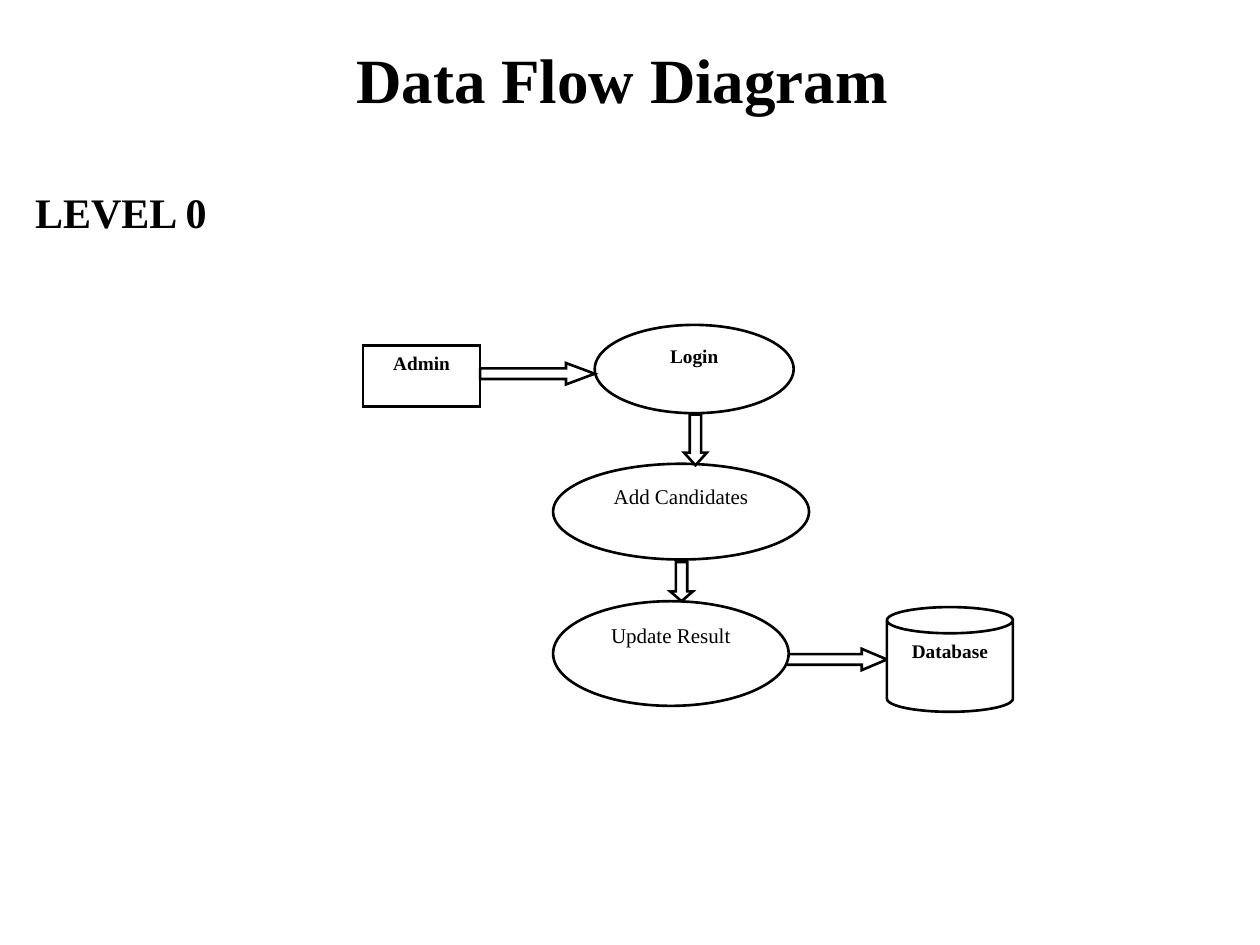
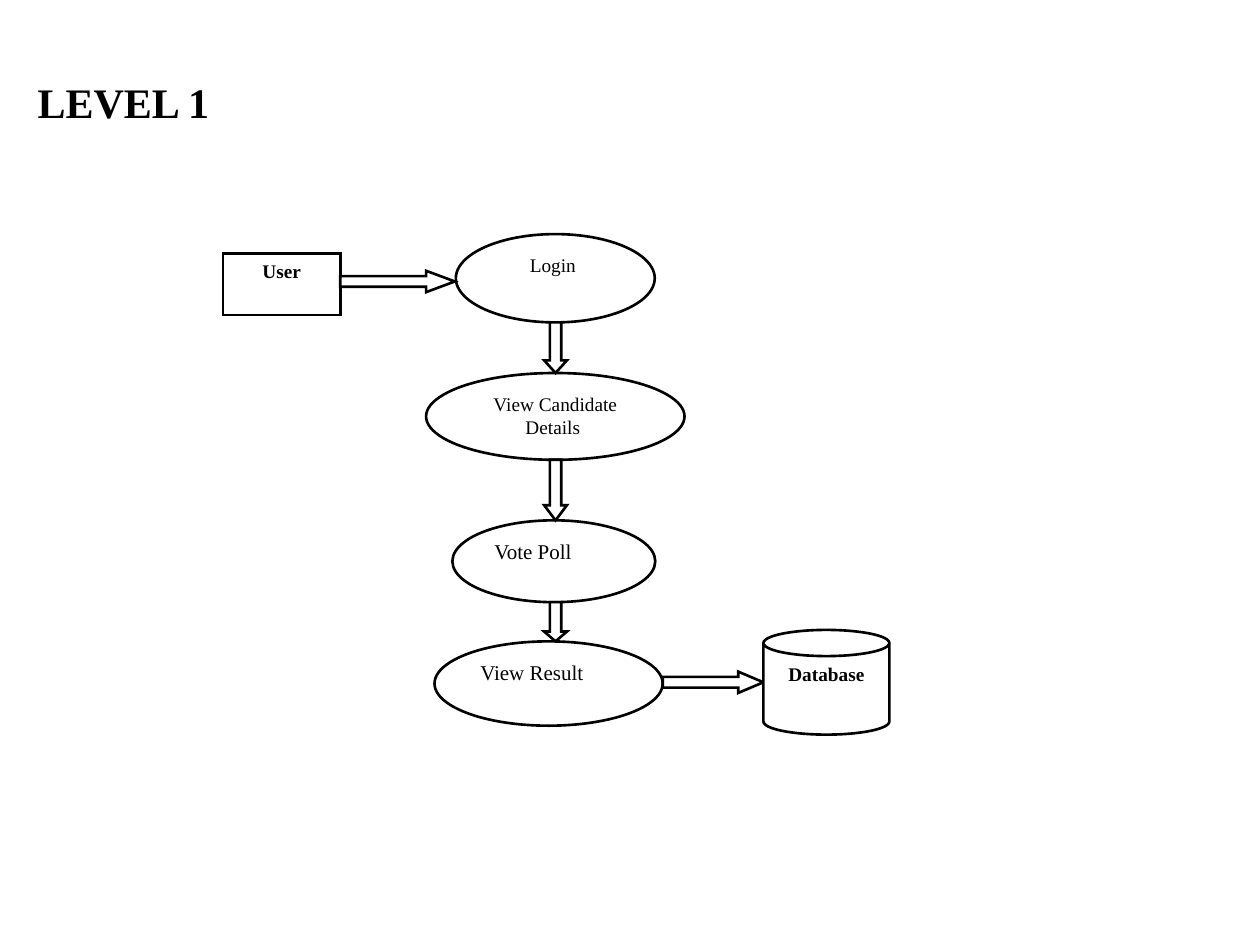
from dataclasses import dataclass

from lxml import etree
from pptx import Presentation
from pptx.dml.color import RGBColor
from pptx.enum.shapes import MSO_SHAPE
from pptx.enum.text import MSO_ANCHOR, MSO_AUTO_SIZE, PP_ALIGN
from pptx.oxml.ns import qn
from pptx.util import Cm, Pt

BLACK = RGBColor(0x00, 0x00, 0x00)
WHITE = RGBColor(0xFF, 0xFF, 0xFF)
FONT = "Times New Roman"

RECT, ELLIPSE, CAN = MSO_SHAPE.RECTANGLE, MSO_SHAPE.OVAL, MSO_SHAPE.CAN
RIGHT, DOWN = MSO_SHAPE.RIGHT_ARROW, MSO_SHAPE.DOWN_ARROW
CENTER, JUSTIFY = PP_ALIGN.CENTER, PP_ALIGN.JUSTIFY
TOP, MIDDLE = MSO_ANCHOR.TOP, MSO_ANCHOR.MIDDLE
NO_FIT, GROW = MSO_AUTO_SIZE.NONE, MSO_AUTO_SIZE.SHAPE_TO_FIT_TEXT

TITLE_ONLY, BLANK = 5, 6
LINE_WIDTH = Pt(1.5)
THICKNESS = {RIGHT: 0.43, DOWN: 0.46}
HEAD_SHARE = 0.25  # arrowhead length as a share of the arrow length


@dataclass(frozen=True)
class Node:
    text: str
    left: float
    top: float
    width: float
    height: float
    kind: MSO_SHAPE = ELLIPSE
    size: int = 12
    bold: bool = False
    align: PP_ALIGN = CENTER


@dataclass(frozen=True)
class Arrow:
    kind: MSO_SHAPE
    left: float
    top: float
    length: float


@dataclass(frozen=True)
class Level:
    """One diagram slide, its figures listed from back to front."""
    heading: str
    left: float
    top: float
    figures: tuple[Node | Arrow, ...]
    title: str = ""


def actor(text: str, left: float, top: float) -> Node:
    return Node(text, left, top, 2.36, 1.24, RECT, 11, True)


def login(text: str, left: float, top: float, bold: bool) -> Node:
    return Node(text, left, top, 4.01, 1.78, size=11, bold=bold)


def database(left: float, top: float) -> Node:
    return Node("Database", left, top, 2.54, 2.11, CAN, 11, True)


LEVELS = (
    Level("LEVEL 0", 0.46, 3.12, (
        actor("Admin", 7.32, 6.96),
        login("Login", 11.99, 6.55, True),
        Node("Add Candidates", 11.15, 9.35, 5.16, 1.93),
        Arrow(RIGHT, 9.68, 7.32, 2.31),
        Arrow(DOWN, 13.79, 8.36, 1.02),
        Arrow(RIGHT, 15.85, 13.08, 2.03),
        database(17.88, 12.24),
        Node("Update Result", 11.15, 12.12, 4.75, 2.11),
        Arrow(DOWN, 13.51, 11.33, 0.79),
    ), "Data Flow Diagram "),
    Level("LEVEL 1", 0.51, 0.91, (
        actor("User", 4.5, 5.11),
        Node("View Candidate Details ", 8.59, 7.52, 5.21, 1.75, size=11),
        login("Login ", 9.19, 4.72, False),
        Node("View Result", 8.76, 12.93, 4.6, 1.7, align=JUSTIFY),
        Node("Vote Poll", 9.12, 10.49, 4.09, 1.65, align=JUSTIFY),
        Arrow(RIGHT, 6.86, 5.46, 2.31),
        Arrow(DOWN, 10.97, 6.5, 1.02),
        Arrow(DOWN, 10.97, 9.27, 1.22),
        Arrow(DOWN, 10.97, 12.14, 0.79),
        Arrow(RIGHT, 13.36, 13.54, 2.03),
        database(15.39, 12.7),
    )),
)


def set_all(target, formats: dict) -> None:
    for name, value in formats.items():
        setattr(target, name, value)


def write(sp, text: str, size: int, bold: bool, frame: dict, paragraph: dict) -> None:
    tf = sp.text_frame
    set_all(tf, frame)
    p = tf.paragraphs[0]
    set_all(p, paragraph)
    r = p.add_run()
    r.text = text
    set_all(r.font, {"name": FONT, "size": Pt(size), "bold": bold})
    r.font.color.rgb = BLACK


def add_outlined(slide, kind: MSO_SHAPE, left: float, top: float,
                 width: float, height: float):
    """Add a white shape with a black, sharp-cornered outline."""
    sp = slide.shapes.add_shape(kind, Cm(left), Cm(top), Cm(width), Cm(height))
    sp.shadow.inherit = False
    sp.fill.solid()
    sp.fill.fore_color.rgb = WHITE
    sp.line.color.rgb = BLACK
    sp.line.width = LINE_WIDTH
    ln = sp.element.spPr.find(qn("a:ln"))
    etree.SubElement(ln, qn("a:miter"), lim="800000")
    return sp


def add_node(slide, node: Node) -> None:
    sp = add_outlined(slide, node.kind, node.left, node.top, node.width, node.height)
    write(sp, node.text, node.size, node.bold,
          {"vertical_anchor": TOP, "word_wrap": True}, {"alignment": node.align})


def add_arrow(slide, arrow: Arrow) -> None:
    thickness = THICKNESS[arrow.kind]
    size = (arrow.length, thickness) if arrow.kind == RIGHT else (thickness, arrow.length)
    sp = add_outlined(slide, arrow.kind, arrow.left, arrow.top, *size)
    sp.adjustments[0] = 0.5
    sp.adjustments[1] = HEAD_SHARE * arrow.length / thickness


def add_title(slide, text: str) -> None:
    sp = slide.shapes.title
    set_all(sp, {"left": Cm(1.27), "top": Cm(0.58),
                 "width": Cm(22.86), "height": Cm(1.98)})
    write(sp, text, 36, True,
          {"vertical_anchor": MIDDLE, "auto_size": NO_FIT}, {"alignment": CENTER})


def add_heading(slide, level: Level) -> None:
    sp = slide.shapes.add_textbox(Cm(level.left), Cm(level.top), Cm(4.01), Cm(1.63))
    write(sp, level.heading, 24, True,
          {"word_wrap": False, "auto_size": GROW},
          {"alignment": JUSTIFY, "line_spacing": 1.5, "space_after": Pt(10)})


def add_level(prs, level: Level) -> None:
    layout = TITLE_ONLY if level.title else BLANK
    slide = prs.slides.add_slide(prs.slide_layouts[layout])
    if level.title:
        add_title(slide, level.title)
    add_heading(slide, level)
    for figure in level.figures:
        if isinstance(figure, Node):
            add_node(slide, figure)
        else:
            add_arrow(slide, figure)


def main() -> None:
    prs = Presentation()
    prs.slide_width, prs.slide_height = Cm(25.4), Cm(19.05)
    for level in LEVELS:
        add_level(prs, level)
    prs.save("out.pptx")


if __name__ == "__main__":
    main()
